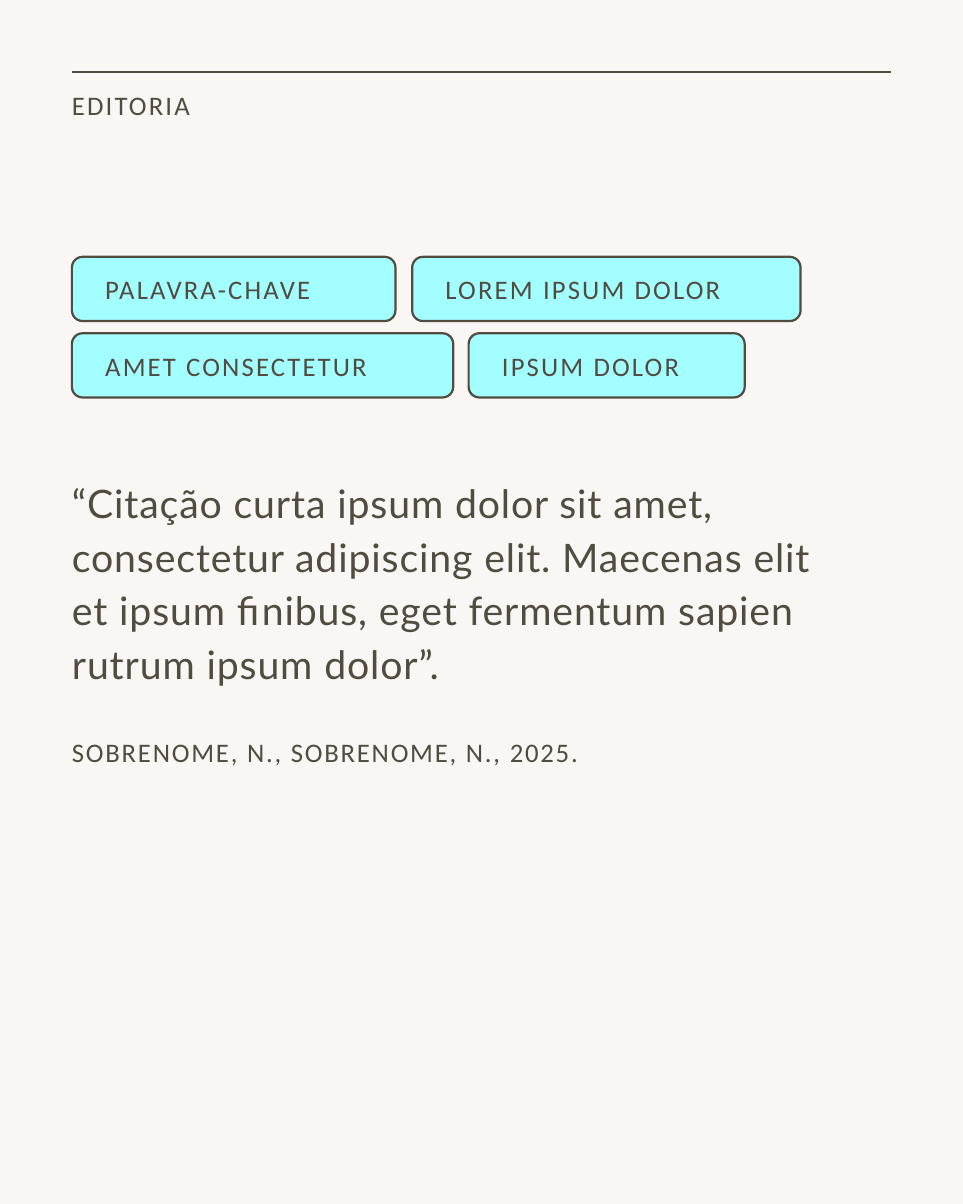
from dataclasses import dataclass

from lxml.etree import SubElement
from pptx import Presentation
from pptx.dml.color import RGBColor
from pptx.enum.shapes import MSO_CONNECTOR, MSO_SHAPE
from pptx.enum.text import MSO_ANCHOR, MSO_AUTO_SIZE, PP_ALIGN
from pptx.oxml.ns import qn
from pptx.slide import Slide
from pptx.text.text import TextFrame, _Paragraph
from pptx.util import Inches, Pt

INK = "514B40"
CYAN = "A3FFFF"
PAPER = "FAF6F3"
LEFT, WIDTH = 1.12, 12.76
TAG_TOP, TAG_HEIGHT, ROW_STEP = 4, 1, 1.19


@dataclass
class Tag:
    text: str
    row: int
    left: float
    width: float


TAGS = [
    Tag("PALAVRA-CHAVE", 0, LEFT, 5.04),
    Tag("LOREM IPSUM DOLOR", 0, 6.42, 6.05),
    Tag("AMET CONSECTETUR", 1, LEFT, 5.94),
    Tag("IPSUM DOLOR", 1, 7.3, 4.3),
]


def color(value: str) -> RGBColor:
    return RGBColor.from_string(value)


def set_frame(tf: TextFrame, left: float, top: float, right: float, bottom: float,
              anchor: MSO_ANCHOR = MSO_ANCHOR.TOP) -> None:
    tf.word_wrap = True
    tf.auto_size = MSO_AUTO_SIZE.NONE
    tf.vertical_anchor = anchor
    tf.margin_left, tf.margin_top = Inches(left), Inches(top)
    tf.margin_right, tf.margin_bottom = Inches(right), Inches(bottom)


def write(p: _Paragraph, text: str, size: float = 30, font: str = "Calibri",
          tracking: float = 2.4) -> None:
    p.text = text
    p.alignment = PP_ALIGN.LEFT
    for r in p.runs:
        r.font.size = Pt(size)
        r.font.name = font
        r.font.color.rgb = color(INK)
        r.font._element.set("spc", str(round(tracking * 100)))


def add_rule(s: Slide, top: float) -> None:
    line = s.shapes.add_connector(MSO_CONNECTOR.STRAIGHT, Inches(LEFT), Inches(top),
                                  Inches(LEFT + WIDTH), Inches(top))
    line.line.color.rgb = color(INK)
    line.line.width = Pt(2.5)
    SubElement(line._element.spPr, qn("a:effectLst"))


def add_section(s: Slide) -> None:
    sp = s.shapes.title
    sp.left, sp.top = Inches(LEFT), Inches(1.38)
    sp.width, sp.height = Inches(WIDTH), Inches(0.51)
    set_frame(sp.text_frame, 0, 0, 0, 0)
    write(sp.text_frame.paragraphs[0], "EDITORIA")


def add_tag(s: Slide, tag: Tag) -> None:
    sp = s.shapes.add_shape(MSO_SHAPE.ROUNDED_RECTANGLE, Inches(tag.left),
                            Inches(TAG_TOP + tag.row * ROW_STEP),
                            Inches(tag.width), Inches(TAG_HEIGHT))
    sp.shadow.inherit = False
    sp.fill.solid()
    sp.fill.fore_color.rgb = color(CYAN)
    sp.line.color.rgb = color(INK)
    sp.line.width = Pt(2.5)
    set_frame(sp.text_frame, 0.47, 0.2, 0.47, 0.2, MSO_ANCHOR.MIDDLE)
    write(sp.text_frame.paragraphs[0], tag.text)


def add_quote(s: Slide) -> None:
    sp = s.shapes.add_textbox(Inches(LEFT), Inches(6.19), Inches(WIDTH), Inches(6.79))
    tf = sp.text_frame
    set_frame(tf, 0, 1.18, 0.59, 0)
    p = tf.paragraphs[0]
    write(p, "“Citação curta ipsum dolor sit amet, consectetur adipiscing elit. "
             "Maecenas elit et ipsum finibus, eget fermentum sapien rutrum ipsum dolor”.",
          44, "Lato", 1)
    p.line_spacing = Pt(60)
    p = tf.add_paragraph()
    write(p, "SOBRENOME, N., SOBRENOME, N., 2025.", tracking=2)
    p.line_spacing = Pt(45)
    p.space_before = Pt(45)


def main() -> None:
    prs = Presentation()
    prs.slide_width, prs.slide_height = Inches(15), Inches(18.75)
    s = prs.slides.add_slide(prs.slide_layouts[5])
    s.background.fill.solid()
    s.background.fill.fore_color.rgb = color(PAPER)
    add_rule(s, 1.12)
    add_section(s)
    for tag in TAGS:
        add_tag(s, tag)
    add_quote(s)
    prs.save("out.pptx")


if __name__ == "__main__":
    main()
